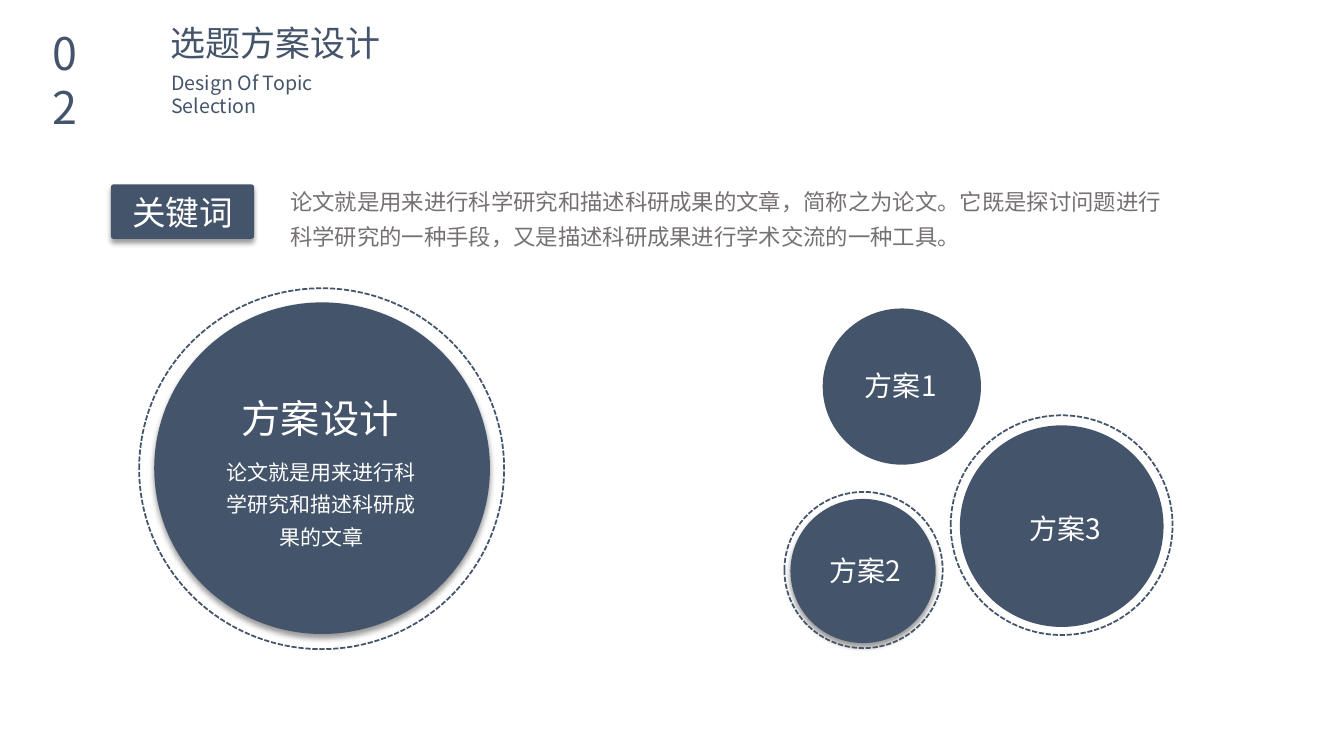
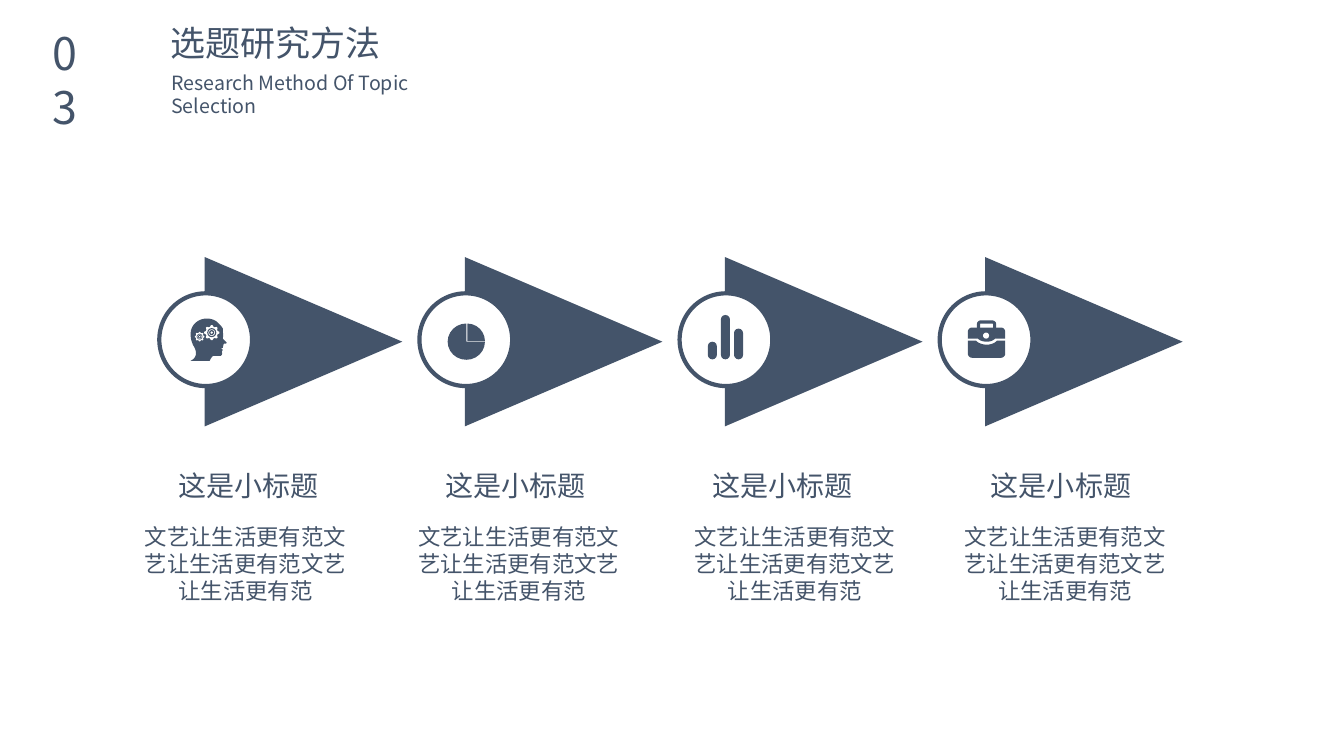
import math

import pptx
import pptx.dml.color
import pptx.enum.dml
import pptx.enum.shapes
import pptx.enum.text
import pptx.oxml
import pptx.oxml.ns
import pptx.util

RGBColor = pptx.dml.color.RGBColor
Inches, Pt = pptx.util.Inches, pptx.util.Pt
SHAPE = pptx.enum.shapes.MSO_SHAPE
ALIGN = pptx.enum.text.PP_ALIGN
qn = pptx.oxml.ns.qn

NAVY = RGBColor(0x44, 0x54, 0x6A)
GREY = RGBColor(0x76, 0x71, 0x71)
WHITE = RGBColor(0xFF, 0xFF, 0xFF)
FONT = "Noto Sans CJK SC"
INSETS = (0.1, 0.05)
UNIT = 0.01  # icons are drawn in hundredths of an inch around their disc's centre

# number, title, subtitle, subtitle width
PLAN_HEAD = ("02", "选题方案设计", "Design Of Topic Selection", 2.23)
METHOD_HEAD = ("03", "选题研究方法", "Research Method Of Topic Selection", 3.08)

KEYWORD = "关键词"
DEFINITION = ("论文就是用来进行科学研究和描述科研成果的文章，简称之为论文。"
              "它既是探讨问题进行科学研究的一种手段，又是描述科研成果进行学术交流的一种工具。")
PLAN_TITLE = "方案设计"
PLAN_TEXT = "论文就是用来进行科学研究和描述科研成果的文章"

# disc box, dashed ring box, shadow
CIRCLES = [
    ((1.53, 3, 3.33, 3.29), (1.38, 2.86, 3.62, 3.58), True),
    ((8.16, 3.06, 1.57, 1.55), None, False),
    ((7.84, 4.95, 1.44, 1.43), (7.78, 4.88, 1.57, 1.55), True),
    ((9.52, 4.22, 2.02, 2), (9.43, 4.12, 2.2, 2.18), False),
]
OPTIONS = [("方案1", 8.48, 3.61), ("方案2", 8.13, 5.44), ("方案3", 10.11, 5.03)]

# Outlines: a start point, then segments of one point (line) or three (curve)
HEAD = [
    (20, 2), [(19, 1), (18, 0), (17, -1)], [(17, -3), (18, -5), (17, -7)],
    [(17, -8), (17, -10), (17, -11)], [(16, -13), (14, -15), (12, -17)],
    [(10, -19), (6, -21), (1, -21)], [(-8, -21), (-15, -14), (-15, -6)],
    [(-15, -1), (-14, 3), (-11, 8)], [(-11, 8), (-6, 17), (-15, 21)],
    [(4, 21)], [(4, 21), (6, 16), (8, 16)], [(15, 16)],
    [(17, 15), (16, 12), (16, 12)], [(17, 10)], [(15, 9)], [(17, 8)],
    [(17, 7), (18, 4), (18, 4)], [(23, 4), (20, 2), (20, 2)],
]
CASE_LID = [
    (-18, -1), [(-18, -8)], [(-18, -10), (-16, -12), (-14, -12)], [(15, -12)],
    [(17, -12), (19, -10), (19, -8)], [(19, -1)], [(9, -1)],
    [(7, 1), (4, 2), (1, 2)], [(-3, 2), (-6, 1), (-8, -1)],
]
CASE_BASE = [
    (-18, 1), [(-10, 1)], [(-7, 4), (-3, 5), (1, 5)], [(4, 5), (8, 4), (11, 1)],
    [(19, 1)], [(19, 14)], [(19, 16), (17, 18), (15, 18)], [(-14, 18)],
    [(-16, 18), (-18, 16), (-18, 14)],
]
GEARS = [(6, -7, 7.5), (-6, -3, 4.8)]  # centre x, centre y, radius
PIES = [((-18, -16, 37, 36), (0, 162)), ((-16, -16, 35, 35), (162, 0))]
BARS = [(-18, 17.5), (-5, 44), (8, 30.5)]  # left, height
BAR_WIDTH, BAR_BOTTOM = 9, 19.5

STEP_TITLE = "这是小标题"
STEP_TEXT = "文艺让生活更有范" * 3
STEP_PITCH = 2.58
DISC_LEFT, DISC_TOP, DISC = 1.58, 2.91, 0.92
TITLE_LEFTS = [1.67, 4.32, 6.97, 9.73]
TEXT_LEFTS = [1.28, 3.99, 6.73, 9.41]


def paint(sp, fill=None, line=None, width=1.25):
    sp.shadow.inherit = False
    if fill is None:
        sp.fill.background()
    else:
        sp.fill.solid()
        sp.fill.fore_color.rgb = fill
    if line is None:
        sp.line.fill.background()
    else:
        sp.line.color.rgb = line
        sp.line.width = Pt(width)
    return sp


def add_shape(slide, kind, box, adjust=(), **style):
    sp = slide.shapes.add_shape(kind, *map(Inches, box))
    for i, value in enumerate(adjust):
        sp.adjustments[i] = value
    return paint(sp, **style)


def drop_shadow(sp):
    effects = sp._element.spPr.find(qn("a:effectLst"))
    effects.append(pptx.oxml.parse_xml(
        f'<a:outerShdw {pptx.oxml.ns.nsdecls("a")} blurRad="{Pt(4)}" dist="{Pt(3)}" '
        'dir="5400000" algn="t" rotWithShape="0"><a:srgbClr val="000000">'
        '<a:alpha val="40000"/></a:srgbClr></a:outerShdw>'))


def write(sp, text, size, color, align=ALIGN.LEFT, spacing=None, insets=INSETS, wrap=True):
    tf = sp.text_frame
    tf.word_wrap = wrap
    tf.margin_left = tf.margin_right = Inches(insets[0])
    tf.margin_top = tf.margin_bottom = Inches(insets[1])
    p = tf.paragraphs[0]
    p.text = text
    p.alignment = align
    if spacing:
        p.line_spacing = spacing
    p.font.size = Pt(size)
    p.font.color.rgb = color
    p.font.name = FONT
    east_asian = pptx.oxml.parse_xml(
        f'<a:ea {pptx.oxml.ns.nsdecls("a")} typeface="{FONT}"/>')
    p._p.pPr.find(qn("a:defRPr")).find(qn("a:latin")).addnext(east_asian)


def add_text(slide, box, *args, **style):
    write(slide.shapes.add_textbox(*map(Inches, box)), *args, **style)


def add_header(slide, number, title, subtitle, subtitle_width):
    add_text(slide, (0.52, 0.26, 0.48, 1.08), number, 32, NAVY,
             align=ALIGN.JUSTIFY, insets=(0, 0))
    add_text(slide, (1.69, 0.21, 3.1, 0.42), title, 25, NAVY, insets=(0, 0))
    add_text(slide, (1.6, 0.65, subtitle_width, 0.58), subtitle, 14, NAVY)


def flatten(outline, steps=8):
    """Turn an outline of lines and cubic curves into a list of points."""
    points = [outline[0]]
    for segment in outline[1:]:
        if len(segment) == 1:
            points += segment
            continue
        a, (b, c, d) = points[-1], segment
        for t in (i / steps for i in range(1, steps + 1)):
            u = 1 - t
            points.append(tuple(u**3 * a[k] + 3 * u * u * t * b[k]
                                + 3 * u * t * t * c[k] + t**3 * d[k] for k in (0, 1)))
    return points


def gear_points(x, y, radius, teeth=8):
    points = []
    for i in range(teeth * 4):
        r = radius if i % 4 < 2 else radius * 0.8
        angle = 2 * math.pi * (i - 0.5) / (teeth * 4)
        points.append((x + r * math.cos(angle), y + r * math.sin(angle)))
    return points


class Icon:
    """Draws pieces in icon units around a centre given in inches."""

    def __init__(self, slide, x, y):
        self.slide, self.x, self.y = slide, x, y

    def piece(self, kind, box, **style):
        left, top, width, height = (v * UNIT for v in box)
        add_shape(self.slide, kind, (self.x + left, self.y + top, width, height), **style)

    def ring(self, x, y, radius, thickness):
        self.piece(SHAPE.DONUT, (x - radius, y - radius, 2 * radius, 2 * radius),
                   adjust=[thickness], fill=NAVY)

    def outline(self, points, fill=NAVY):
        fine = [(100 * x, 100 * y) for x, y in points]
        builder = self.slide.shapes.build_freeform(*fine[0], scale=Inches(UNIT) / 100)
        builder.add_line_segments(fine[1:], close=True)
        paint(builder.convert_to_shape(Inches(self.x), Inches(self.y)), fill=fill)


def draw_head(icon):
    icon.outline(flatten(HEAD))
    for x, y, radius in GEARS:
        icon.outline(gear_points(x, y, radius), WHITE)
        icon.ring(x, y, radius * 0.6, 0.12)
        icon.ring(x, y, radius * 0.33, 0.25)


def draw_pie(icon):
    for box, angles in PIES:
        icon.piece(SHAPE.PIE, box, adjust=angles, fill=NAVY)


def draw_bars(icon):
    for left, height in BARS:
        icon.piece(SHAPE.ROUNDED_RECTANGLE, (left, BAR_BOTTOM - height, BAR_WIDTH, height),
                   adjust=[0.5], fill=NAVY)


def draw_briefcase(icon):
    icon.piece(SHAPE.ROUNDED_RECTANGLE, (-7.5, -17.5, 16, 10), adjust=[0.2],
               line=NAVY, width=2.2)
    for outline in (CASE_LID, CASE_BASE):
        icon.outline(flatten(outline))
    icon.piece(SHAPE.OVAL, (-3, -7, 6, 6), fill=WHITE)


def build_plan(slide):
    for disc_box, ring_box, shadowed in CIRCLES:
        disc = add_shape(slide, SHAPE.OVAL, disc_box, fill=NAVY)
        if shadowed:
            drop_shadow(disc)
        if ring_box:
            ring = add_shape(slide, SHAPE.OVAL, ring_box, line=NAVY)
            ring.line.dash_style = pptx.enum.dml.MSO_LINE.SQUARE_DOT
    add_text(slide, (2.1, 4.43, 2.17, 1.09), PLAN_TEXT, 15, WHITE,
             align=ALIGN.CENTER, spacing=1.3)
    add_text(slide, (2.3, 3.63, 1.77, 0.73), PLAN_TITLE, 28, WHITE, spacing=1.5, wrap=False)
    for label, left, top in OPTIONS:
        add_text(slide, (left, top, 1.11, 0.44), label, 20, WHITE)
    tag = add_shape(slide, SHAPE.ROUNDED_RECTANGLE, (1.1, 1.83, 1.42, 0.54),
                    adjust=[0.05], fill=NAVY)
    drop_shadow(tag)
    write(tag, KEYWORD, 24, WHITE, align=ALIGN.CENTER)
    add_text(slide, (2.78, 1.74, 9.01, 0.77), DEFINITION, 16, GREY, spacing=1.3)
    add_header(slide, *PLAN_HEAD)


def build_methods(slide):
    icons = [draw_head, draw_pie, draw_bars, draw_briefcase]
    for i, (draw, title_left, text_left) in enumerate(zip(icons, TITLE_LEFTS, TEXT_LEFTS)):
        left = DISC_LEFT + i * STEP_PITCH
        arrow = add_shape(slide, SHAPE.ISOSCELES_TRIANGLE, (left + 0.59, 2.41, 1.68, 1.96),
                          fill=NAVY)
        arrow.rotation = 90
        add_shape(slide, SHAPE.OVAL, (left, DISC_TOP, DISC, DISC),
                  fill=WHITE, line=NAVY, width=3)
        draw(Icon(slide, left + DISC / 2, DISC_TOP + DISC / 2))
        add_text(slide, (title_left, 4.6, 1.67, 0.44), STEP_TITLE, 20, NAVY)
        add_text(slide, (text_left, 5.14, 2.31, 0.91), STEP_TEXT, 16, NAVY,
                 align=ALIGN.CENTER)
    add_header(slide, *METHOD_HEAD)


def main():
    prs = pptx.Presentation()
    prs.slide_width, prs.slide_height = Inches(13.33), Inches(7.5)
    for build in (build_plan, build_methods):
        build(prs.slides.add_slide(prs.slide_layouts[6]))
    prs.save("out.pptx")


if __name__ == "__main__":
    main()
